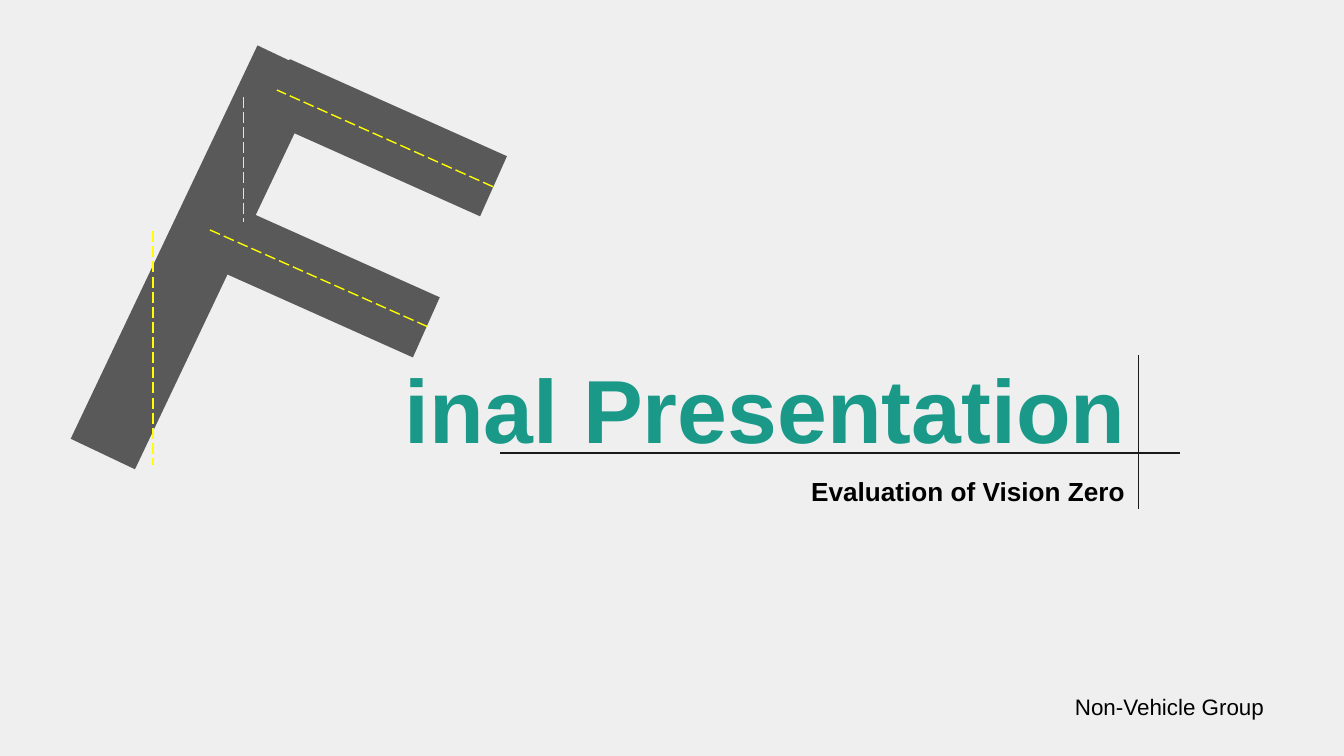
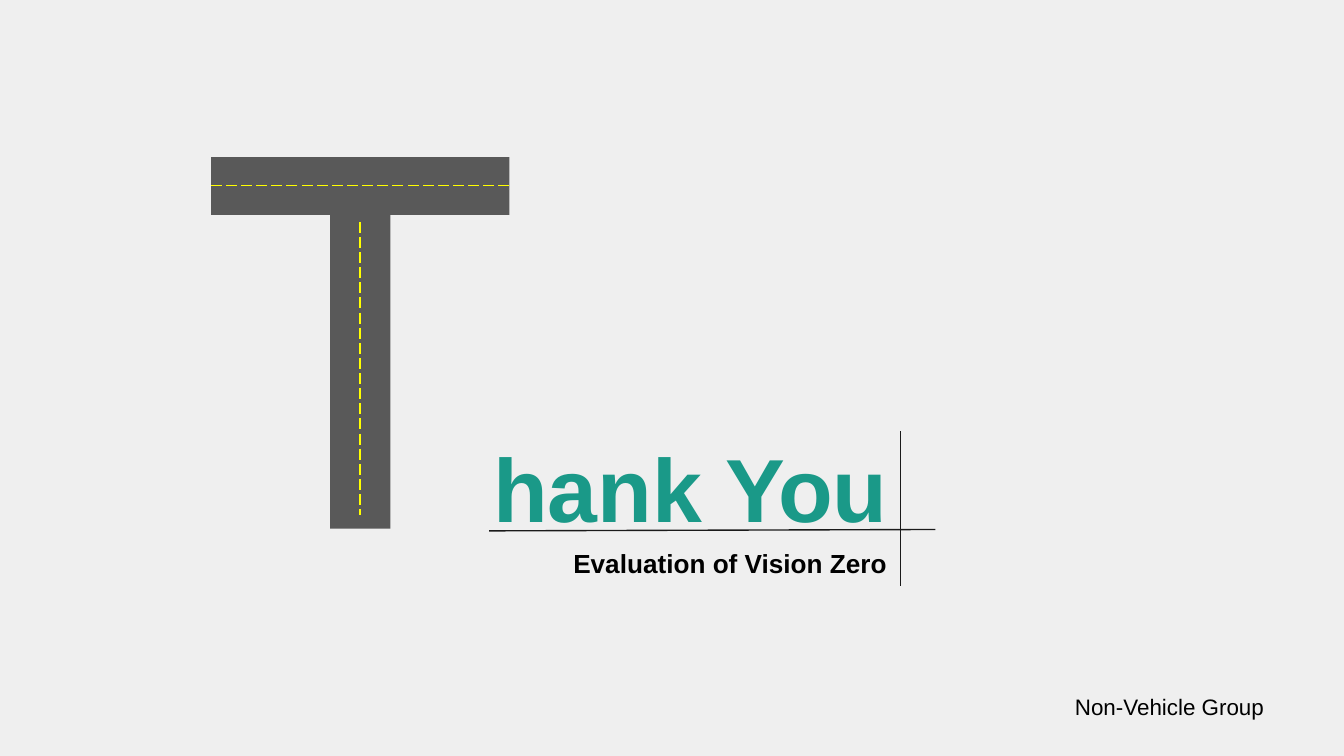
import pptx
import pptx.util
import pptx.dml.color
import pptx.enum.dml
import pptx.enum.shapes
import pptx.enum.text
import lxml.etree
from pptx.util import Inches

ROAD = "595959"
DASH = "FFFF00"
TEAL = "1A9988"
INK = "1A1A1A"
BACK = "EFEFEF"
FONT = "Arial"
LEFT = pptx.enum.text.PP_ALIGN.LEFT
RIGHT = pptx.enum.text.PP_ALIGN.RIGHT
TOP = pptx.enum.text.MSO_ANCHOR.TOP
BASE = pptx.enum.text.MSO_ANCHOR.BOTTOM


def paint(color, code):
    color.rgb = pptx.dml.color.RGBColor.from_string(code)


deck = pptx.Presentation()
deck.slide_width = Inches(10)
deck.slide_height = Inches(10) * 9 // 16

pages = [
    {
        "title": ("inal Presentation", 2.91, 1.71),
        "sub": (5.52, 3.4),
        "roads": [
            (1.98, 0.78, 1.77, 0.49, 24.1),
            (-0.16, 1.65, 3.24, 0.53, 115.4),
            (1.48, 1.83, 1.77, 0.49, 24.1),
        ],
        "lanes": [
            (3.67, 1.39, 2.06, 0.67),
            (3.18, 2.43, 1.56, 1.71),
            (1.81, 0.72, 1.81, 1.65),
            (1.14, 1.72, 1.14, 3.46),
        ],
        "rules": [(8.47, 2.64, 8.47, 3.79), (3.72, 3.37, 8.78, 3.37)],
    },
    {
        "title": ("hank You", 3.57, 2.3),
        "sub": (3.75, 3.94),
        "roads": [(1.48, 2.51, 2.4, 0.45, 90), (1.57, 1.17, 2.22, 0.43, 0)],
        "lanes": [(3.79, 1.38, 1.57, 1.38), (2.68, 1.65, 2.68, 3.83)],
        "rules": [(6.7, 3.21, 6.7, 4.36), (3.64, 3.95, 6.96, 3.94)],
    },
]

for page in pages:
    slide = deck.slides.add_slide(deck.slide_layouts[6])
    slide.background.fill.solid()
    paint(slide.background.fill.fore_color, BACK)

    for x, y, w, h, turn in page["roads"]:
        road = slide.shapes.add_shape(
            pptx.enum.shapes.MSO_SHAPE.RECTANGLE,
            Inches(x), Inches(y), Inches(w), Inches(h))
        road.rotation = turn
        road.shadow.inherit = False
        road.fill.solid()
        paint(road.fill.fore_color, ROAD)
        road.line.fill.background()

    lines = [(lane, DASH) for lane in page["lanes"]]
    lines += [(rule, INK) for rule in page["rules"]]
    for ends, code in lines:
        line = slide.shapes.add_connector(
            pptx.enum.shapes.MSO_CONNECTOR.STRAIGHT,
            *[Inches(end) for end in ends])
        line.line.width = pptx.util.Pt(0.75)
        paint(line.line.color, code)
        if code == DASH:
            line.line.dash_style = pptx.enum.dml.MSO_LINE.LONG_DASH
        lxml.etree.SubElement(
            line.element.spPr, pptx.oxml.ns.qn("a:effectLst"))

    title, x, y = page["title"]
    texts = [
        (title, (x, y, 7.08, 1.82), 48, TEAL, True, LEFT, BASE, 1, 0),
        ("Evaluation of Vision Zero", (*page["sub"], 2.95, 0.59),
         14, "000000", True, RIGHT, TOP, 1.15, 16),
        ("Non-Vehicle Group", (7.9, 5.03, 2.1, 0.59),
         12, "000000", False, LEFT, TOP, 1.15, 16),
    ]
    for words, place, size, code, bold, side, hold, lead, gap in texts:
        box = slide.shapes.add_textbox(*[Inches(part) for part in place])
        frame = box.text_frame
        frame.text = words
        frame.word_wrap = True
        frame.vertical_anchor = hold
        frame.margin_left = frame.margin_right = Inches(0.1)
        frame.margin_top = frame.margin_bottom = Inches(0.1)
        para = frame.paragraphs[0]
        para.alignment = side
        para.line_spacing = lead
        para.space_after = pptx.util.Pt(gap)
        font = para.runs[0].font
        font.name = FONT
        font.size = pptx.util.Pt(size)
        font.bold = bold
        paint(font.color, code)

deck.save("out.pptx")
